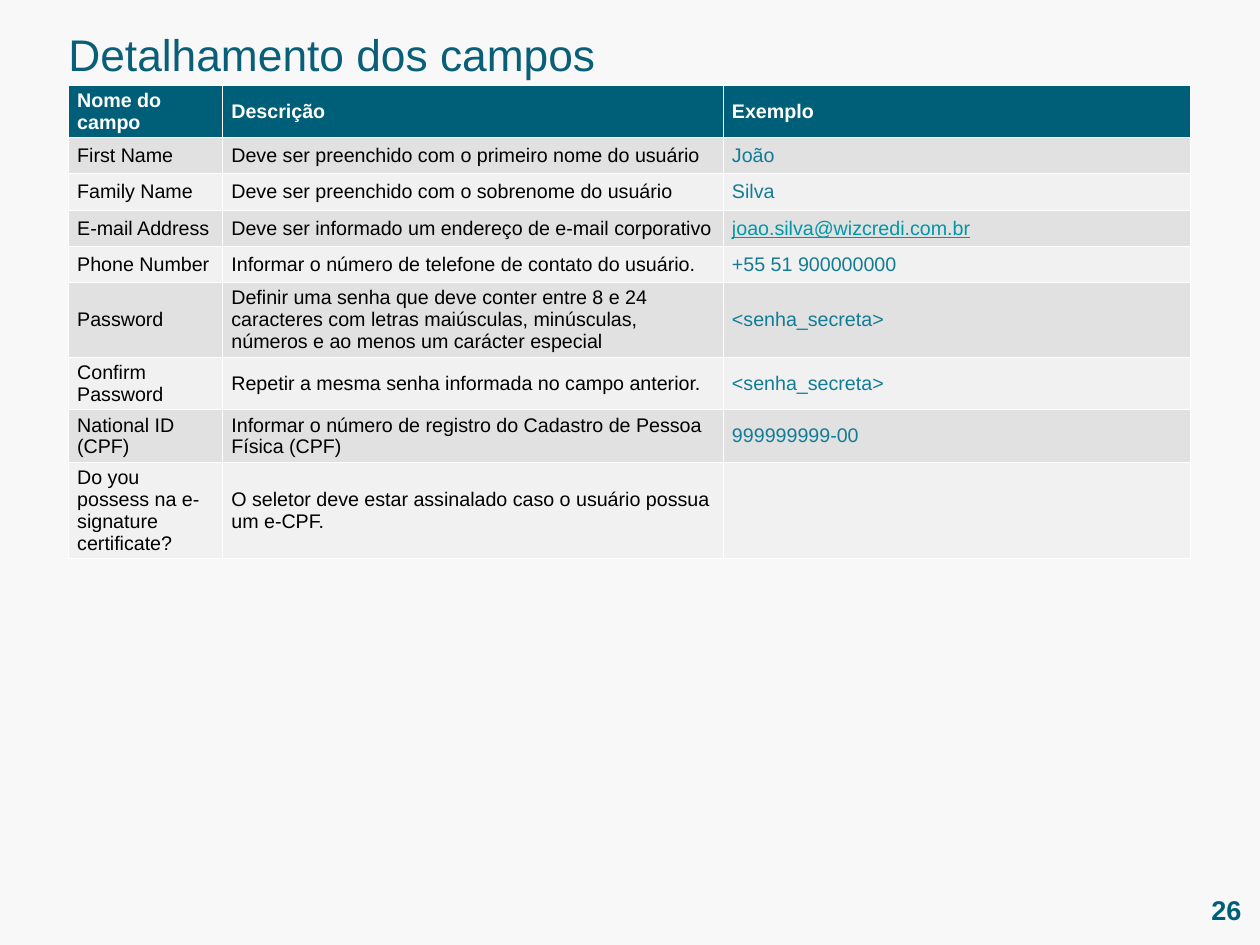
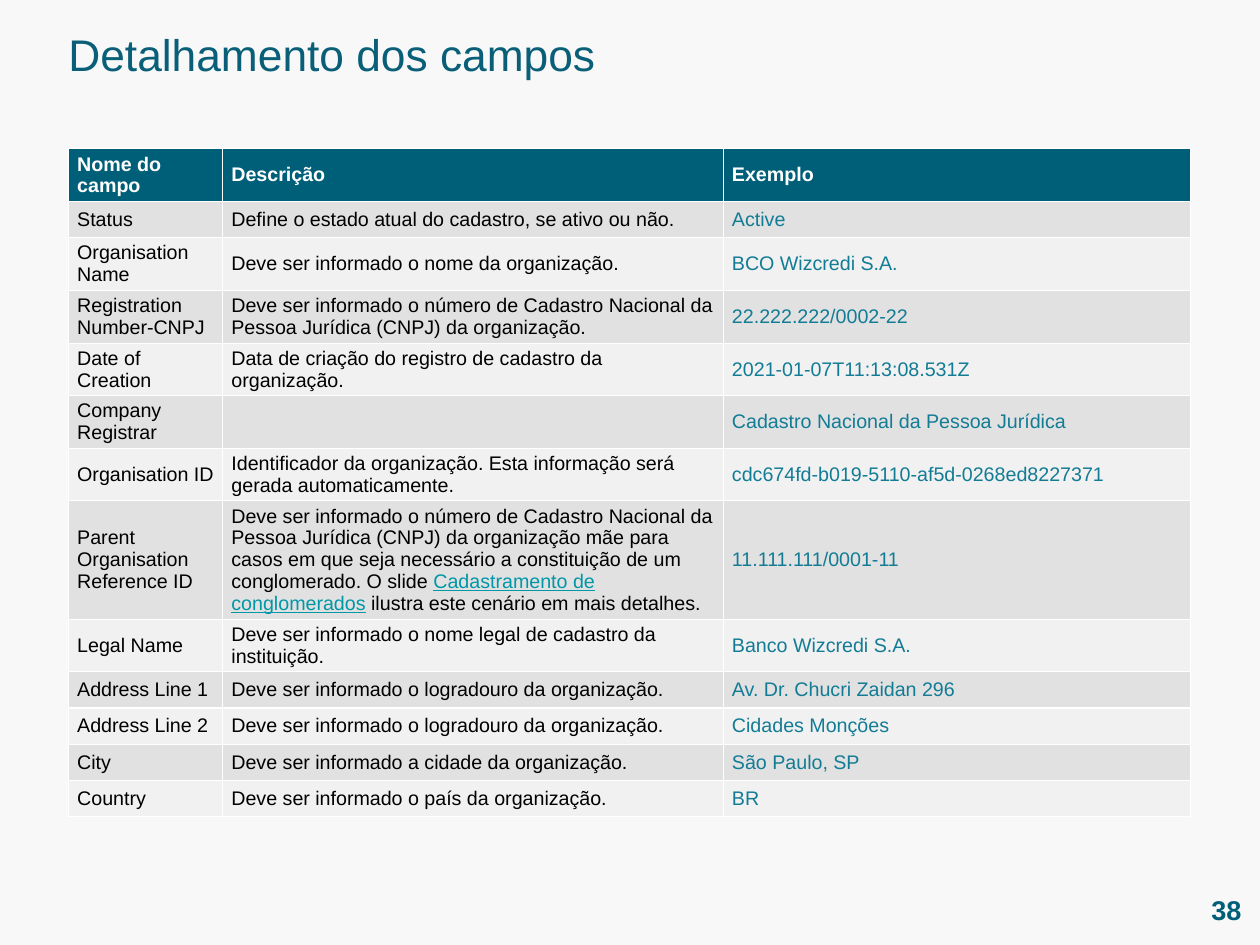
import pptx
import pptx.util
import pptx.dml.color
import pptx.enum.text
from dataclasses import dataclass

Cm = pptx.util.Cm
ANCHOR = pptx.enum.text.MSO_ANCHOR
ALIGN = pptx.enum.text.PP_ALIGN


@dataclass(frozen=True)
class Theme:
    face: str = "Arial"
    back: str = "F8F8F8"
    title: str = "095F78"
    head: str = "005F78"
    white: str = "FFFFFF"
    text: str = "000000"
    sample: str = "137C95"
    link: str = "0097A7"
    bands: tuple = ("E1E1E1", "F1F1F1")
    title_size: int = 36
    page_size: int = 22
    cell_size: int = 16


THEME = Theme()
LEFT = 1.96
WIDTHS = (4.42, 14.35, 13.41)
ROW = 1.04
HEADS = ("Nome do campo", "Descrição", "Exemplo")

# Text between bars is shown as a link.
USER = (
    ("First Name", "Deve ser preenchido com o primeiro nome do usuário", "João"),
    ("Family Name", "Deve ser preenchido com o sobrenome do usuário", "Silva"),
    ("E-mail Address", "Deve ser informado um endereço de e-mail corporativo",
     "|joao.silva@wizcredi.com.br|"),
    ("Phone Number", "Informar o número de telefone de contato do usuário.",
     "+55 51 900000000"),
    ("Password", "Definir uma senha que deve conter entre 8 e 24 caracteres com letras "
     "maiúsculas, minúsculas, números e ao menos um carácter especial", "<senha_secreta>"),
    ("Confirm Password", "Repetir a mesma senha informada no campo anterior.",
     "<senha_secreta>"),
    ("National ID (CPF)", "Informar o número de registro do Cadastro de Pessoa Física (CPF)",
     "999999999-00"),
    ("Do you possess na e-signature certificate?",
     "O seletor deve estar assinalado caso o usuário possua um e-CPF.", ""),
)
FIRM = (
    ("Status", "Define o estado atual do cadastro, se ativo ou não.", "Active"),
    ("Organisation Name", "Deve ser informado o nome da organização.", "BCO Wizcredi S.A."),
    ("Registration Number-CNPJ", "Deve ser informado o número de Cadastro Nacional da Pessoa "
     "Jurídica (CNPJ) da organização.", "22.222.222/0002-22"),
    ("Date of Creation", "Data de criação do registro de cadastro da organização.",
     "2021-01-07T11:13:08.531Z"),
    ("Company Registrar", "", "Cadastro Nacional da Pessoa Jurídica"),
    ("Organisation ID", "Identificador da organização. Esta informação será gerada "
     "automaticamente.", "cdc674fd-b019-5110-af5d-0268ed8227371"),
    ("Parent Organisation Reference ID", "Deve ser informado o número de Cadastro Nacional da "
     "Pessoa Jurídica (CNPJ) da organização mãe para casos em que seja necessário a "
     "constituição de um conglomerado. O slide |Cadastramento de conglomerados| ilustra este "
     "cenário em mais detalhes.", "11.111.111/0001-11"),
    ("Legal Name", "Deve ser informado o nome legal de cadastro da instituição.",
     "Banco Wizcredi S.A."),
    ("Address Line 1", "Deve ser informado o logradouro da organização.",
     "Av. Dr. Chucri Zaidan 296"),
    ("Address Line 2", "Deve ser informado o logradouro da organização.", "Cidades Monções"),
    ("City", "Deve ser informado a cidade da organização.", "São Paulo, SP"),
    ("Country", "Deve ser informado o país da organização.", "BR"),
)


def rgb(code):
    return pptx.dml.color.RGBColor.from_string(code)


def style(font, size, color, bold=False):
    font.name = THEME.face
    font.size = pptx.util.Pt(size)
    font.bold = bold
    font.color.rgb = rgb(color)


def frame(shape, box, text, anchor, align):
    """Place a shape, strip its margins and return its one paragraph."""
    shape.left, shape.top, shape.width, shape.height = map(Cm, box)
    body = shape.text_frame
    body.margin_left = body.margin_top = body.margin_right = body.margin_bottom = 0
    body.word_wrap = True
    body.vertical_anchor = anchor
    body.text = text
    para = body.paragraphs[0]
    para.alignment = align
    return para


def add_title(slide, box, text):
    para = frame(slide.shapes.title, box, text, ANCHOR.TOP, ALIGN.LEFT)
    style(para.font, THEME.title_size, THEME.title)


def add_page(slide, box, number):
    shape = slide.shapes.add_textbox(0, 0, 0, 0)
    para = frame(shape, box, str(number), ANCHOR.MIDDLE, ALIGN.RIGHT)
    style(para.font, THEME.page_size, THEME.head, True)


def fill_cell(cell, text, fill, color, bold):
    cell.fill.solid()
    cell.fill.fore_color.rgb = rgb(fill)
    cell.vertical_anchor = ANCHOR.MIDDLE
    para = cell.text_frame.paragraphs[0]
    style(para.font, THEME.cell_size, color, bold)
    for index, part in enumerate(text.split("|")):
        if part:
            run = para.add_run()
            run.text = part
            if index % 2:
                run.font.color.rgb = rgb(THEME.link)
                run.font.underline = True


def add_fields(slide, left, top, rows):
    """Draw the field table; the default table style gives the white rules."""
    lines = (HEADS, *rows)
    table = slide.shapes.add_table(
        len(lines), len(WIDTHS), Cm(left), Cm(top),
        Cm(sum(WIDTHS)), Cm(ROW * len(lines))).table
    for column, width in zip(table.columns, WIDTHS):
        column.width = Cm(width)
    for r, line in enumerate(lines):
        table.rows[r].height = Cm(ROW)
        for c, text in enumerate(line):
            if r == 0:
                look = THEME.head, THEME.white, True
            else:
                color = THEME.sample if c == 2 else THEME.text
                look = THEME.bands[(r - 1) % 2], color, False
            fill_cell(table.cell(r, c), text, *look)


def add_slide(deck, number, top, rows):
    slide = deck.slides.add_slide(deck.slide_layouts[5])
    add_title(slide, (LEFT, 0.79, 18, 1.55), "Detalhamento dos campos")
    add_fields(slide, LEFT, top, rows)
    add_page(slide, (33.53, 25.48, 2.06, 1.19), number)


def main():
    deck = pptx.Presentation()
    deck.slide_width, deck.slide_height = Cm(36.12), Cm(27.1)
    back = deck.slide_master.background.fill
    back.solid()
    back.fore_color.rgb = rgb(THEME.back)
    add_slide(deck, 26, 2.44, USER)
    add_slide(deck, 38, 4.27, FIRM)
    deck.save("out.pptx")


if __name__ == "__main__":
    main()
